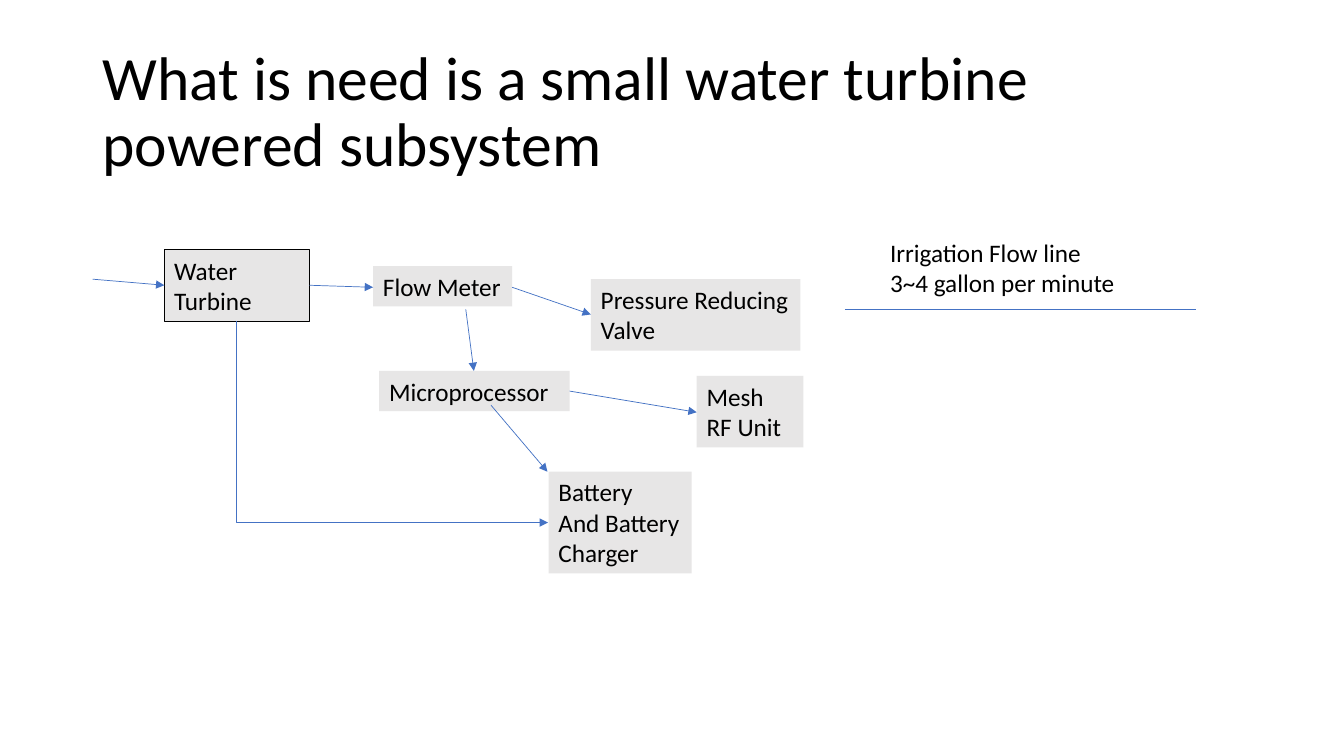
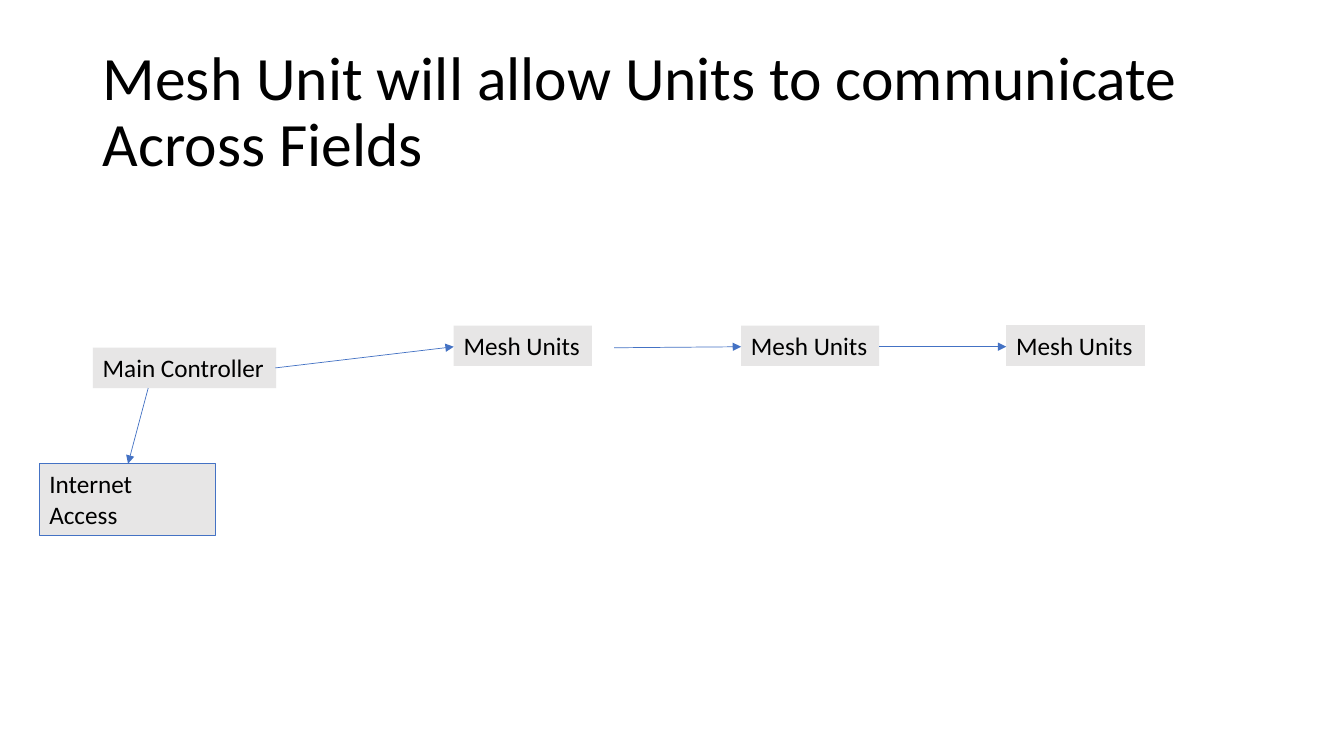
from lxml import etree
from pptx import Presentation
from pptx.dml.color import RGBColor
from pptx.enum.shapes import MSO_CONNECTOR, MSO_SHAPE
from pptx.enum.text import MSO_ANCHOR, PP_ALIGN
from pptx.oxml.ns import qn
from pptx.util import Inches, Pt

STRAIGHT, ELBOW = MSO_CONNECTOR.STRAIGHT, MSO_CONNECTOR.ELBOW
RECTANGLE = MSO_SHAPE.RECTANGLE
TOP, MIDDLE = MSO_ANCHOR.TOP, MSO_ANCHOR.MIDDLE
LEFT = PP_ALIGN.LEFT

FONT = "Calibri"
BLACK, GRAY, BLUE = "000000", "E7E6E6", "4472C4"
TITLE_AREA = (0.92, 0.4, 11.5, 1.45)
BLANK = 6


def add_text(slide, text, area, size=18, fill=None, outline=None,
             anchor=TOP, spacing=1.0, right_inset=0.0):
    """Add a filled box, or a plain text box without fill; \\n parts paragraphs, \\v lines."""
    place = [Inches(value) for value in area]
    if fill:
        shape = slide.shapes.add_shape(RECTANGLE, *place)
        shape.shadow.inherit = False
        shape.fill.solid()
        shape.fill.fore_color.rgb = RGBColor.from_string(fill)
        if outline:
            shape.line.color.rgb = RGBColor.from_string(outline)
            shape.line.width = Pt(0.75)
        else:
            shape.line.fill.background()
    else:
        shape = slide.shapes.add_textbox(*place)
    frame = shape.text_frame
    frame.word_wrap = True
    frame.vertical_anchor = anchor
    frame.margin_right = Inches(right_inset)
    frame.text = text
    for paragraph in frame.paragraphs:
        paragraph.alignment = LEFT
        paragraph.line_spacing = spacing
        for run in paragraph.runs:
            run.font.name = FONT
            run.font.size = Pt(size)
            run.font.color.rgb = RGBColor.from_string(BLACK)


def add_line(slide, start, end, kind=STRAIGHT, arrow=True):
    ends = [Inches(value) for value in (*start, *end)]
    line = slide.shapes.add_connector(kind, *ends)
    line.line.color.rgb = RGBColor.from_string(BLUE)
    line.line.width = Pt(0.5)
    if arrow:
        etree.SubElement(line.line._get_or_add_ln(), qn("a:tailEnd"), type="triangle")
    etree.SubElement(line._element.spPr, qn("a:effectLst"))
    return line


# Each box: text, (left, top, width, height), outline
subsystem_boxes = [
    ("Water\nTurbine", (1.63, 2.48, 1.44, 0.71), BLACK),
    ("Flow Meter", (3.7, 2.64, 1.38, 0.4), None),
    ("Pressure Reducing\nValve", (5.86, 2.77, 2.08, 0.71), None),
    ("Microprocessor", (3.76, 3.68, 1.89, 0.4), None),
    ("Battery\nAnd Battery\nCharger", (5.44, 4.68, 1.42, 1.01), None),
    ("Mesh\nRF Unit", (6.91, 3.73, 1.06, 0.71), None),
]
subsystem_arrows = [
    ((0.92, 2.77), (1.63, 2.83)),
    ((3.07, 2.83), (3.7, 2.85)),
    ((5.08, 2.85), (5.86, 3.12)),
    ((4.62, 3.07), (4.7, 3.68)),
    ((4.87, 4.02), (5.43, 4.68)),
    ((5.65, 3.88), (6.91, 4.09)),
]
network_boxes = [
    ("Main Controller", (0.92, 3.45, 1.82, 0.4), None),
    ("Internet\nAccess", (0.39, 4.6, 1.75, 0.71), BLUE),
]
for left, outline in ((4.5, None), (7.35, None), (9.98, GRAY)):
    network_boxes.append(("Mesh Units", (left, 3.23, 1.37, 0.4), outline))
network_arrows = [
    ((1.47, 3.85), (1.27, 4.6)),
    ((2.73, 3.65), (4.5, 3.44)),
    ((6.09, 3.45), (7.35, 3.44)),
    ((8.72, 3.44), (9.98, 3.44)),
]
contents = [
    ("What is need is a small water turbine powered subsystem",
     subsystem_boxes, subsystem_arrows),
    ("Mesh Unit will allow Units to communicate\vAcross Fields",
     network_boxes, network_arrows),
]

deck = Presentation()
deck.slide_width, deck.slide_height = Inches(13.33), Inches(7.5)

slides = []
for title, boxes, arrows in contents:
    slide = deck.slides.add_slide(deck.slide_layouts[BLANK])
    slides.append(slide)
    add_text(slide, title, TITLE_AREA, size=44, anchor=MIDDLE, spacing=0.9, right_inset=0.1)
    for text, area, outline in boxes:
        add_text(slide, text, area, fill=GRAY, outline=outline)
    for start, end in arrows:
        add_line(slide, start, end)

subsystem = slides[0]
add_text(subsystem, "Irrigation Flow line\n3~4 gallon per minute", (8.73, 2.3, 2.46, 0.71))
add_line(subsystem, (8.38, 3.07), (11.86, 3.07), arrow=False)

# One-bend connector, turned and mirrored: down from the turbine, then right to the battery
turbine_to_battery = add_line(subsystem, (2.89, 2.64), (4.89, 5.73), kind=ELBOW)
geometry = turbine_to_battery._element.spPr
geometry.find(qn("a:prstGeom")).set("prst", "bentConnector2")
geometry.find(qn("a:xfrm")).set("rot", str(270 * 60000))
geometry.find(qn("a:xfrm")).set("flipH", "1")

deck.save("out.pptx")
